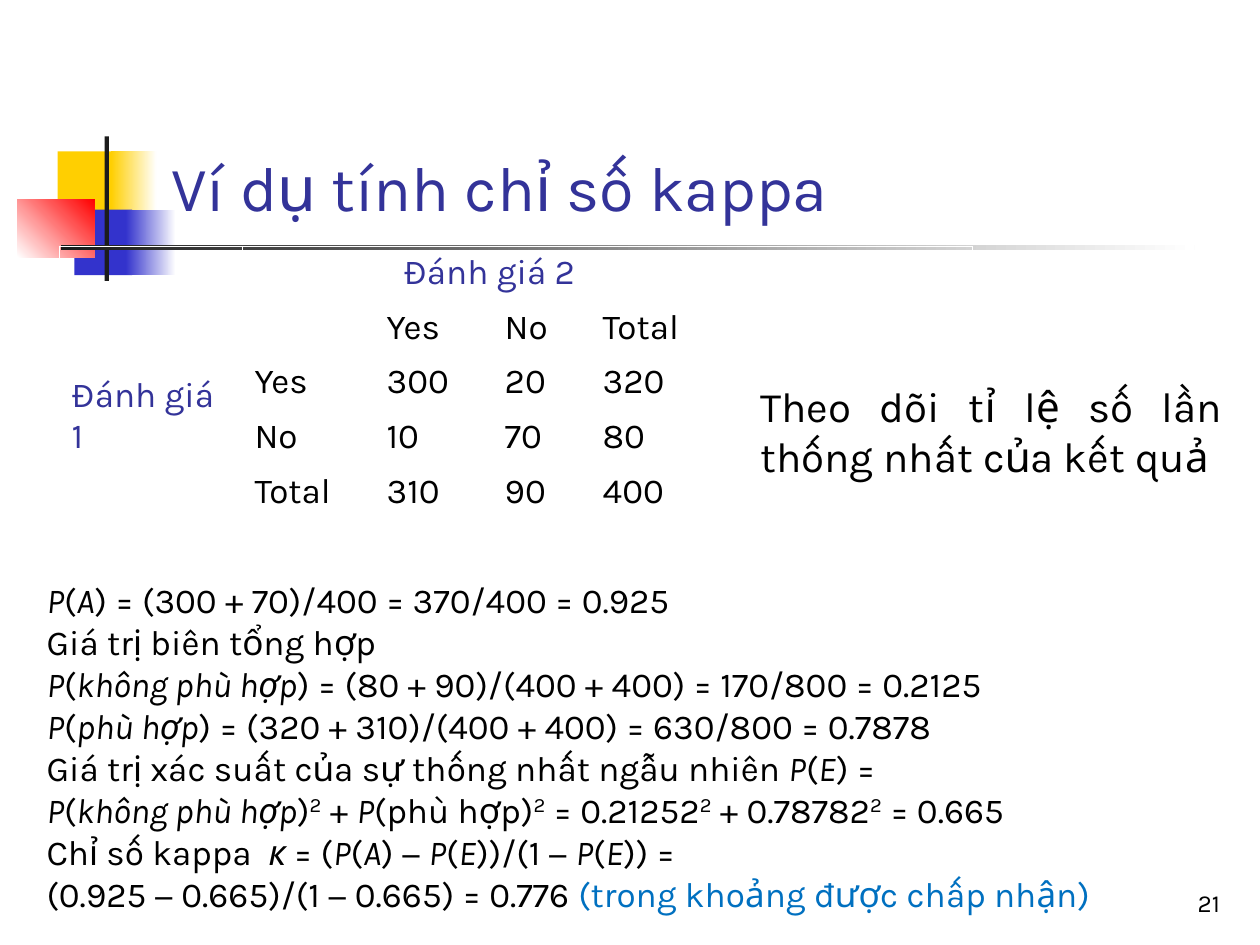
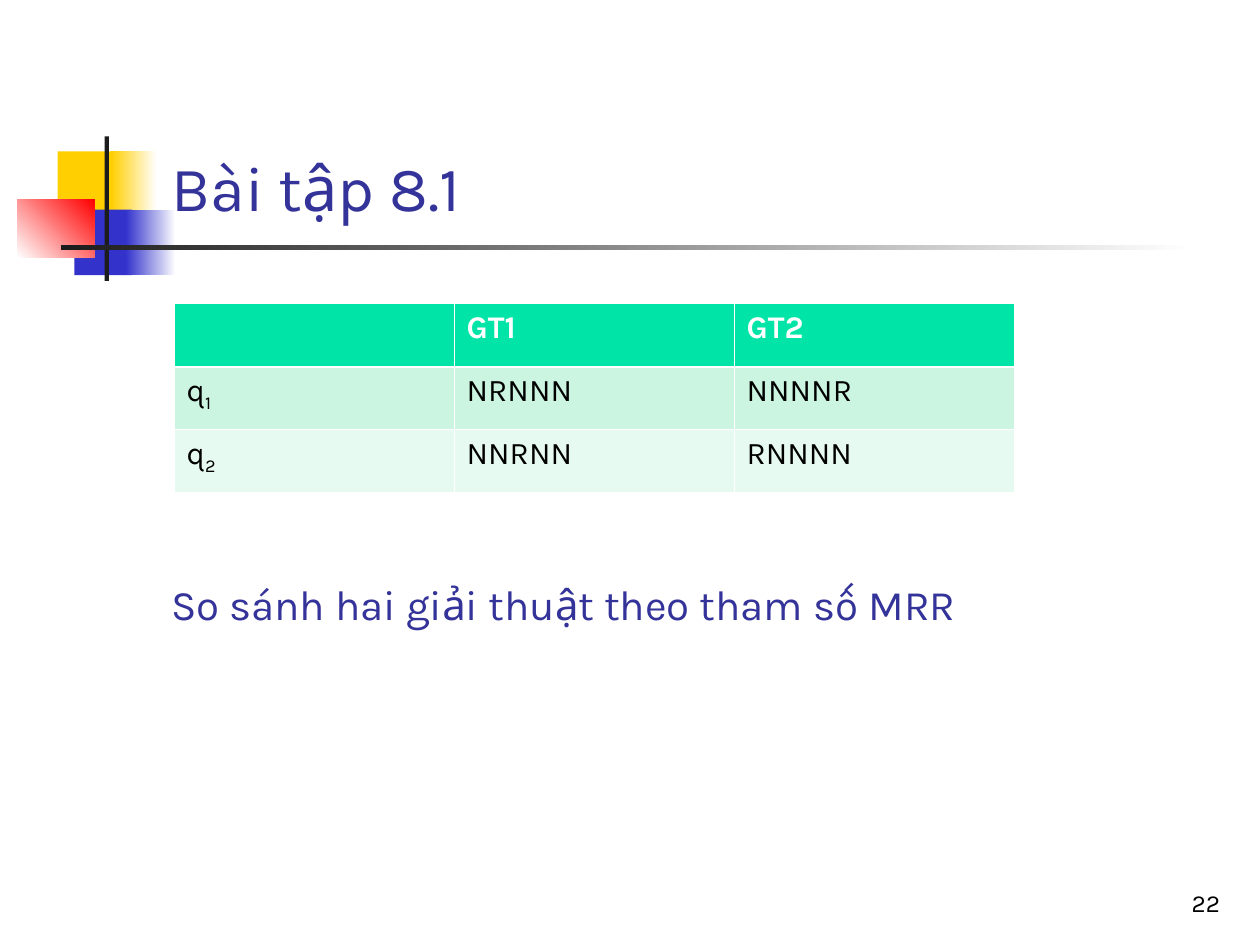
from lxml.etree import SubElement
from pptx import Presentation
from pptx.dml.color import RGBColor
from pptx.enum.shapes import MSO_SHAPE as Preset
from pptx.enum.text import MSO_ANCHOR as Anchor, PP_ALIGN as Align
from pptx.oxml import parse_xml
from pptx.oxml.ns import nsdecls, qn
from pptx.util import Pt

FONT = "Karla"
WHITE = RGBColor(0xFF, 0xFF, 0xFF)
BLACK = RGBColor(0, 0, 0)
INK = RGBColor(0x1C, 0x1C, 0x1C)
YELLOW = RGBColor(0xFF, 0xCF, 0x01)
BLUE = RGBColor(0x33, 0x33, 0xCC)
RED = RGBColor(0xFF, 0, 0)
INDIGO = RGBColor(0x33, 0x33, 0x99)
NOTE_BLUE = RGBColor(0, 0x70, 0xC0)
GREEN = RGBColor(0, 0xE4, 0xA8)
PALE_GREEN = RGBColor(0xCB, 0xF5, 0xE1)
FAINT_GREEN = RGBColor(0xE7, 0xFA, 0xF1)

THIN, HEAVY = 0.45, 1.47
BASELINES = {"^": "30000", "_": "-25000"}

EMBLEM = [
    ((33, 86.5, 34.5, 37.5), [YELLOW], 0),
    ((63.5, 86.5, 26, 37.5), [YELLOW, WHITE], 0),
    ((42.5, 119.75, 33, 37.5), [BLUE], 0),
    ((72, 119.75, 28.5, 37.5), [BLUE, WHITE], 0),
    ((10, 113.75, 44, 33.25), [WHITE, RED], 45),
    ((59.75, 78, 2.5, 82.5), [INK], 0),
    ((34.75, 140.25, 648, 2.5), [INK, WHITE], 0),
]

AGREEMENT_COUNTS = [
    ["Yes", "No", "Total"],
    ["Yes", "300", "20", "320"],
    ["No", "10", "70", "80"],
    ["Total", "310", "90", "400"],
]

KAPPA_STEPS = [
    "*P*(*A*) = (300 + 70)/400 = 370/400 = 0.925",
    "Giá trị biên tổng hợp",
    "*P*(*không phù hợp*) = (80 + 90)/(400 + 400) = 170/800 = 0.2125",
    "*P*(*phù hợp*) = (320 + 310)/(400 + 400) = 630/800 = 0.7878",
    "Giá trị xác suất của sự thống nhất ngẫu nhiên *P*(*E*) =",
    "*P*(*không phù hợp*)^2^ + *P*(phù hợp)^2^ = 0.21252^2^ + 0.78782^2^ = 0.665",
    "Chỉ số kappa  *к* = (*P*(*A*) − *P*(*E*))/(1 − *P*(*E*)) =",
    "(0.925 − 0.665)/(1 − 0.665) = 0.776 ~(trong khoảng được chấp nhận)~",
]

RANKINGS = [
    ["", "GT1", "GT2"],
    ["q_1_", "NRNNN", "NNNNR"],
    ["q_2_", "NNRNN", "RNNNN"],
]


def points(values):
    return [Pt(value) for value in values]


def apply_format(target, values):
    for attribute, value in values.items():
        setattr(target, attribute, value)


def split_marked(line):
    active, piece = "", ""
    for letter in line:
        if letter in "*^_~":
            if piece:
                yield active, piece
            active, piece = "" if active else letter, ""
        else:
            piece += letter
    if piece:
        yield active, piece


def write_lines(frame, lines, size, color=BLACK, align=Align.LEFT, bold=False):
    for index, line in enumerate(lines):
        paragraph = frame.add_paragraph() if index else frame.paragraphs[0]
        paragraph.alignment = align
        for mark, piece in split_marked(line):
            run = paragraph.add_run()
            run.text = piece
            apply_format(run.font, {"name": FONT, "size": Pt(size),
                                    "bold": bold, "italic": mark == "*"})
            run.font.color.rgb = NOTE_BLUE if mark == "~" else color
            if mark in BASELINES:
                run.font._element.set("baseline", BASELINES[mark])


def add_text(slide, area, lines, size, anchor=Anchor.TOP, **look):
    frame = slide.shapes.add_textbox(*points(area)).text_frame
    apply_format(frame, {"word_wrap": True, "vertical_anchor": anchor})
    write_lines(frame, lines, size, **look)


def add_emblem(layout, slide):
    for area, colors, angle in EMBLEM:
        block = slide.shapes.add_shape(Preset.RECTANGLE, *points(area))
        block.shadow.inherit = False
        block.line.fill.background()
        if len(colors) == 1:
            block.fill.solid()
            block.fill.fore_color.rgb = colors[0]
        else:
            block.fill.gradient()
            block.fill.gradient_angle = angle
            for stop, color in zip(block.fill.gradient_stops, colors):
                stop.color.rgb = color
        layout.shapes._spTree.append(block._element)


def add_heading(slide, title, number):
    heading = slide.shapes.title
    apply_format(heading, dict(zip(("left", "top", "width", "height"),
                                   points((90.75, 16.5, 613.5, 115.25)))))
    apply_format(heading.text_frame, {"vertical_anchor": Anchor.BOTTOM,
                                      "word_wrap": True})
    write_lines(heading.text_frame, [title], 36, INDIGO)
    add_text(slide, (554.5, 491.75, 149.75, 36), [str(number)], 14,
             anchor=Anchor.BOTTOM, align=Align.RIGHT)


def add_grid(slide, left, top, widths, heights):
    grid = slide.shapes.add_table(len(heights), len(widths), Pt(left), Pt(top),
                                  Pt(sum(widths)), Pt(sum(heights))).table
    apply_format(grid, {"first_row": False, "horz_banding": False})
    for column, width in zip(grid.columns, widths):
        column.width = Pt(width)
    for row, height in zip(grid.rows, heights):
        row.height = Pt(height)
    return grid


def paint_cell(cell, color=None, top=THIN, bottom=THIN):
    if color is None:
        cell.fill.background()
    else:
        cell.fill.solid()
        cell.fill.fore_color.rgb = color
    properties = cell._tc.get_or_add_tcPr()
    edges = {"lnL": THIN, "lnR": THIN, "lnT": top, "lnB": bottom}
    for index, (edge, width) in enumerate(edges.items()):
        border = parse_xml(f'<a:{edge} {nsdecls("a")} w="{Pt(width)}"/>')
        fill = SubElement(border, qn("a:solidFill"))
        SubElement(fill, qn("a:srgbClr"), val=str(WHITE))
        properties.insert(index, border)


def add_agreement_table(slide):
    grid = add_grid(slide, 33.75, 140.5, (104.5, 75.5, 67.5, 56, 218.5),
                    (31.25, 31.25, 31.25, 31.25, 74.5))
    for cell in grid.iter_cells():
        paint_cell(cell)
    first_rater, second_rater = grid.cell(0, 0), grid.cell(0, 1)
    first_rater.merge(grid.cell(4, 0))
    second_rater.merge(grid.cell(0, 4))
    first_rater.margin_top = Pt(73.75)
    second_rater.margin_left = Pt(92.5)
    write_lines(first_rater.text_frame, ["Đánh giá 1"], 20, INDIGO)
    write_lines(second_rater.text_frame, ["Đánh giá 2"], 20, INDIGO)
    for row, counts in enumerate(AGREEMENT_COUNTS, start=1):
        for column, count in enumerate(counts, start=5 - len(counts)):
            write_lines(grid.cell(row, column).text_frame, [count], 20)


def add_ranking_table(slide):
    grid = add_grid(slide, 99.5, 173.5, (160,) * 3, (36,) * 3)
    row_looks = [
        (GREEN, WHITE, THIN, HEAVY),
        (PALE_GREEN, BLACK, HEAVY, THIN),
        (FAINT_GREEN, BLACK, THIN, THIN),
    ]
    for row, (values, look) in enumerate(zip(RANKINGS, row_looks)):
        fill, ink, top, bottom = look
        for column, value in enumerate(values):
            cell = grid.cell(row, column)
            paint_cell(cell, fill, top, bottom)
            write_lines(cell.text_frame, [value], 18, ink, bold=row == 0)


def main():
    deck = Presentation()
    apply_format(deck, {"slide_width": Pt(720), "slide_height": Pt(540)})
    title_only = deck.slide_layouts[5]

    kappa = deck.slides.add_slide(title_only)
    add_emblem(title_only, kappa)
    add_heading(kappa, "Ví dụ tính chỉ số kappa", 21)
    add_agreement_table(kappa)
    add_text(kappa, (427.5, 213.75, 278, 65),
             ["Theo dõi tỉ lệ số lần thống nhất của kết quả"], 24,
             align=Align.JUSTIFY)
    add_text(kappa, (19.5, 327, 686, 199.5), KAPPA_STEPS, 20)

    exercise = deck.slides.add_slide(title_only)
    add_heading(exercise, "Bài tập 8.1", 22)
    add_ranking_table(exercise)
    add_text(exercise, (90.75, 327, 463.75, 65),
             ["So sánh hai giải thuật theo tham số MRR"], 24, color=INDIGO)

    deck.save("out.pptx")


if __name__ == "__main__":
    main()
